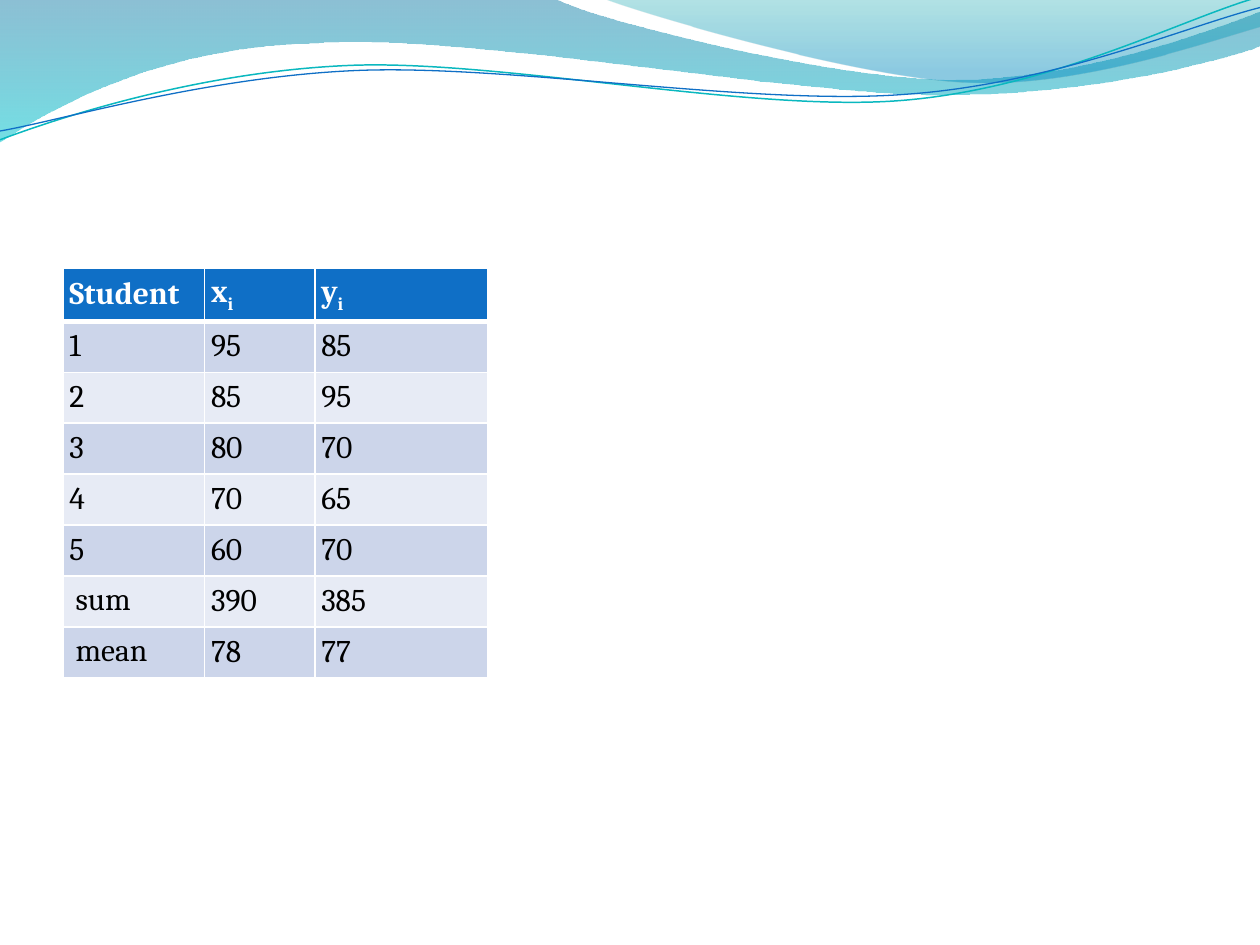
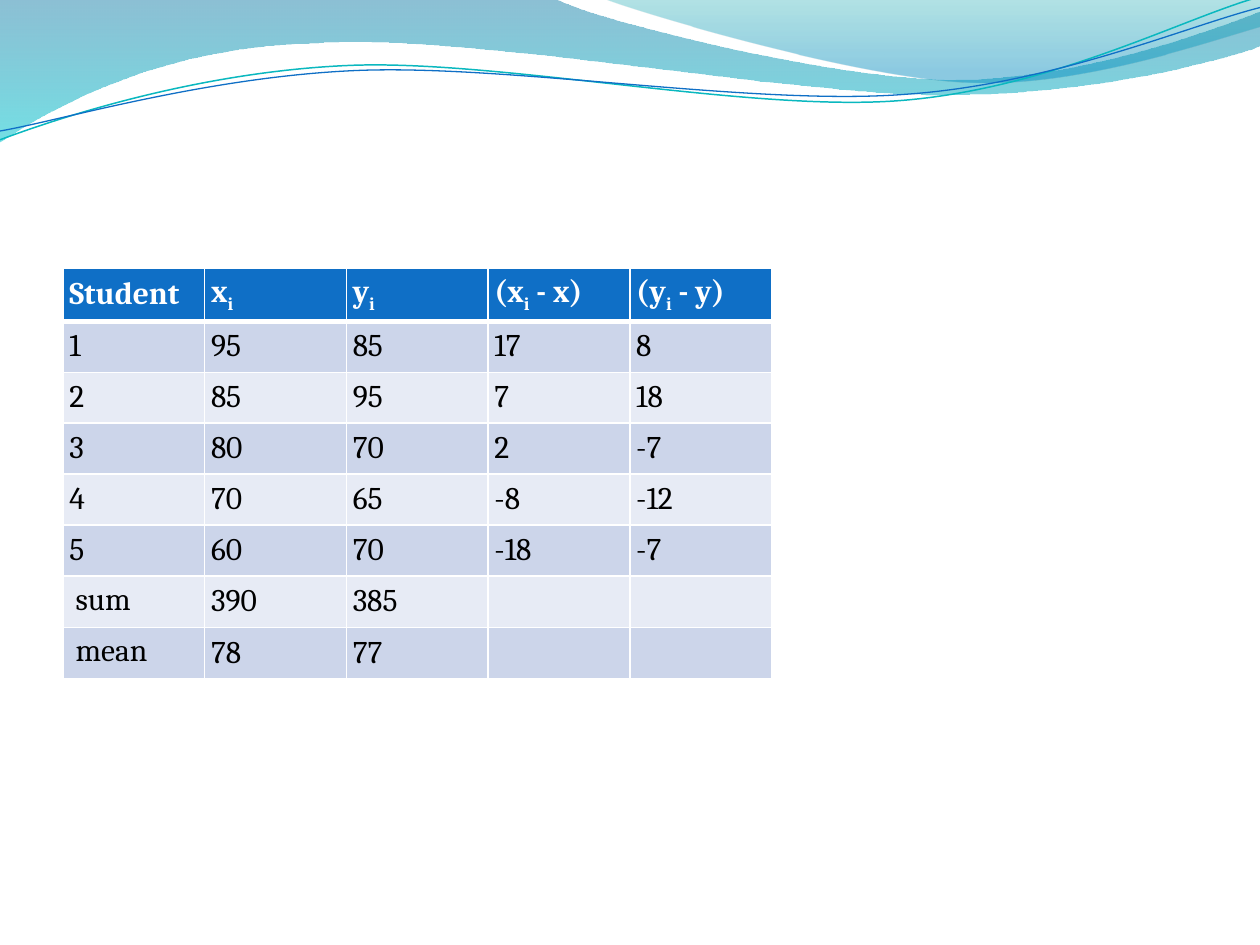
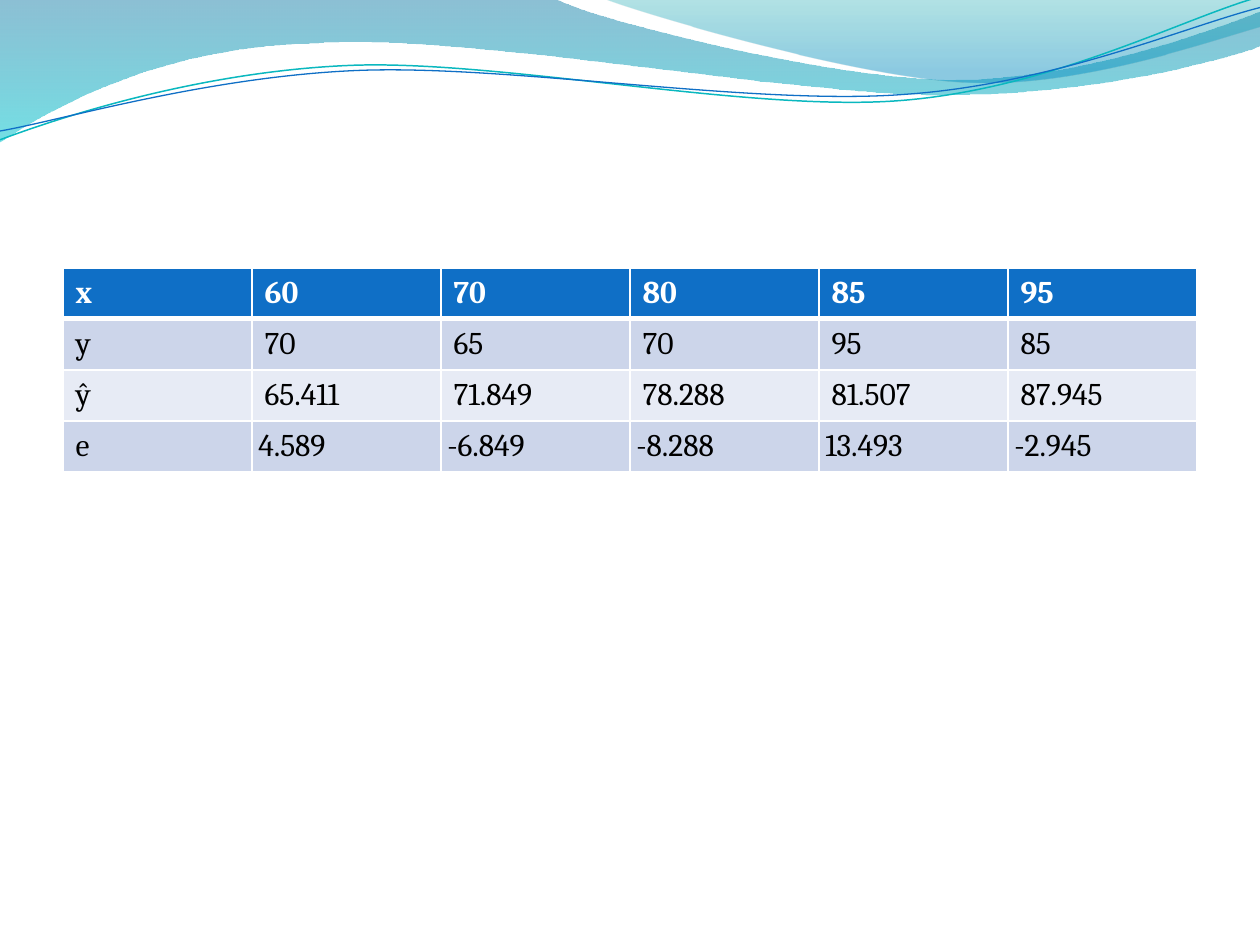
from lxml import etree
from pptx import Presentation
from pptx.dml.color import RGBColor
from pptx.enum.text import MSO_ANCHOR
from pptx.oxml.ns import qn
from pptx.util import Inches, Pt

MIDDLE = MSO_ANCHOR.MIDDLE
TOP = MSO_ANCHOR.TOP
FONT = "Cambria"
COLORS = {
    "white": "FFFFFF", "black": "000000", "header": "0F6FC6",
    "odd": "CCD5EA", "even": "E7EBF5", "teal": "0AB8BF",
    "deep": "0074A1", "aqua": "00C6CF", "sea": "00A1A9", "sky": "008BBF",
}
RGB = {name: RGBColor.from_string(value) for name, value in COLORS.items()}

prs = Presentation()
prs.slide_width = Inches(10)
prs.slide_height = Inches(7.5)
UNIT = prs.slide_width // 80
ROW = int(prs.slide_height * 0.054)
layout = prs.slide_layouts[6]
for ph in list(layout.placeholders):
    ph._element.getparent().remove(ph._element)
slides = [prs.slides.add_slide(layout) for _ in range(3)]

bands = [
    ("LCCLCCCL",
     [(0, 0), (4.4, -0.01), (4.76, 0.17), (6.64, 0.63), (7.58, 0.63),
      (8.53, 0.63), (9.58, 0.26), (10, 0.09), (10.01, 0.36),
      (9.83, 0.44), (8.7, 0.76), (7.46, 0.75),
      (6.22, 0.75), (3.82, 0.28), (2.57, 0.34),
      (1.29, 0.36), (0.46, 0.83), (-0.01, 1.13), (0, 0)],
     [(0, "deep", 45), (1, "aqua", 55)], None),
    ("CCLL",
     [(4.79, -0.01), (5.09, 0.11), (6.82, 0.62), (7.69, 0.65),
      (8.56, 0.69), (9.61, 0.32), (10, 0.21), (10, 0), (4.79, -0.01)],
     [(0, "sea", 30), (0.8, "sky", 45)], None),
    ("CCC",
     [(0, 1.11), (0.48, 0.93), (1.58, 0.57), (2.77, 0.52),
      (3.95, 0.47), (5.93, 0.89), (7.13, 0.8),
      (8.33, 0.71), (9.38, 0.15), (9.98, -0.02)],
     None, ("teal", 0.85)),
    ("CCC",
     [(0, 1.04), (0.47, 0.96), (1.64, 0.61), (2.83, 0.56),
      (4.03, 0.51), (5.97, 0.84), (7.17, 0.75),
      (8.36, 0.67), (9.41, 0.21), (10, 0.06)],
     None, ("header", 0.75)),
]
for kinds, points, stops, line in bands:
    pts = [(Inches(x), Inches(y)) for x, y in points]
    fb = slides[0].shapes.build_freeform(*pts[0])
    fb.add_line_segments(pts[1:], close=bool(stops))
    sp = fb.convert_to_shape()
    sp.shadow.inherit = False
    segments = iter(sp._element.findall(".//" + qn("a:lnTo")))
    for kind in kinds:
        segment = next(segments)
        if kind == "C":
            segment.tag = qn("a:cubicBezTo")
            for _ in range(2):
                extra = next(segments)
                segment.append(extra[0])
                extra.getparent().remove(extra)
    if stops:
        sp.line.fill.background()
        sp.fill.gradient()
        sp.fill.gradient_angle = 270
        for stop, (position, color, alpha) in zip(sp.fill.gradient_stops, stops):
            stop.position = position
            stop.color.rgb = RGB[color]
        for gs, (position, color, alpha) in zip(sp._element.iter(qn("a:gs")), stops):
            etree.SubElement(gs[0], qn("a:alpha"), val=str(alpha * 1000))
    else:
        sp.fill.background()
        sp.line.color.rgb = RGB[line[0]]
        sp.line.width = Pt(line[1])
    layout.shapes._spTree.append(sp._element)

scores = [
    ["Student", "x_i", "y_i"],
    ["1", "95", "85"],
    ["2", "85", "95"],
    ["3", "80", "70"],
    ["4", "70", "65"],
    ["5", "60", "70"],
    ["sum", "390", "385"],
    ["mean", "78", "77"],
]
deviations = [
    ["(x_i\u00a0-\u00a0x)", "(y_i\u00a0-\u00a0y)"],
    ["17", "8"], ["7", "18"], ["2", "-7"], ["-8", "-12"], ["-18", "-7"],
    ["", ""], ["", ""],
]
residuals = [
    ["x", "60", "70", "80", "85", "95"],
    ["y", "70", "65", "70", "95", "85"],
    ["ŷ", "65.411", "71.849", "78.288", "81.507", "87.945"],
    ["e", "4.589", "-6.849", "-8.288", "13.493", "-2.945"],
]
tables = [
    (scores, [9, 7, 11], 0.05),
    ([a + b for a, b in zip(scores, deviations)], [9] * 5, 0.05),
    (residuals, [12] * 6, 0.1),
]
for s, (rows, widths, margin) in zip(slides, tables):
    gf = s.shapes.add_table(len(rows), len(widths), 4 * UNIT, 17 * UNIT,
                            sum(widths) * UNIT, len(rows) * ROW)
    tbl = gf.table
    for col, width in zip(tbl.columns, widths):
        col.width = width * UNIT
    for i, row in enumerate(rows):
        tbl.rows[i].height = ROW
        for j, text in enumerate(row):
            cell = tbl.cell(i, j)
            summary = text in ("sum", "mean")
            tight = row[0] == "e" and j > 0
            cell.vertical_anchor = TOP if summary else MIDDLE
            cell.margin_left = Inches(0.1 if summary else 0.05 if tight else margin)
            cell.margin_right = Inches(0.1 if summary else margin)
            cell.margin_top = cell.margin_bottom = Inches(0.05)
            tcPr = cell._tc.get_or_add_tcPr()
            for side in "LRTB":
                thick = (i == 0 and side == "B") or (i == 1 and side == "T")
                ln = etree.SubElement(tcPr, qn("a:ln" + side), w=str(Pt(3 if thick else 1)))
                fill = etree.SubElement(ln, qn("a:solidFill"))
                etree.SubElement(fill, qn("a:srgbClr"), val=COLORS["white"])
            cell.fill.solid()
            cell.fill.fore_color.rgb = RGB["header" if i == 0 else "odd" if i % 2 else "even"]
            p = cell.text_frame.paragraphs[0]
            p.font.size = Pt(18)
            base, _, tail = text.partition("_")
            for part, offset in ((base, 0), (tail[:1], -25000), (tail[1:], 0)):
                if part:
                    r = p.add_run()
                    r.text = part
                    r.font.name = FONT
                    r.font.size = Pt(18)
                    r.font.bold = i == 0
                    r.font.color.rgb = RGB["white" if i == 0 else "black"]
                    if offset:
                        r.font._element.set("baseline", str(offset))

prs.save("out.pptx")
